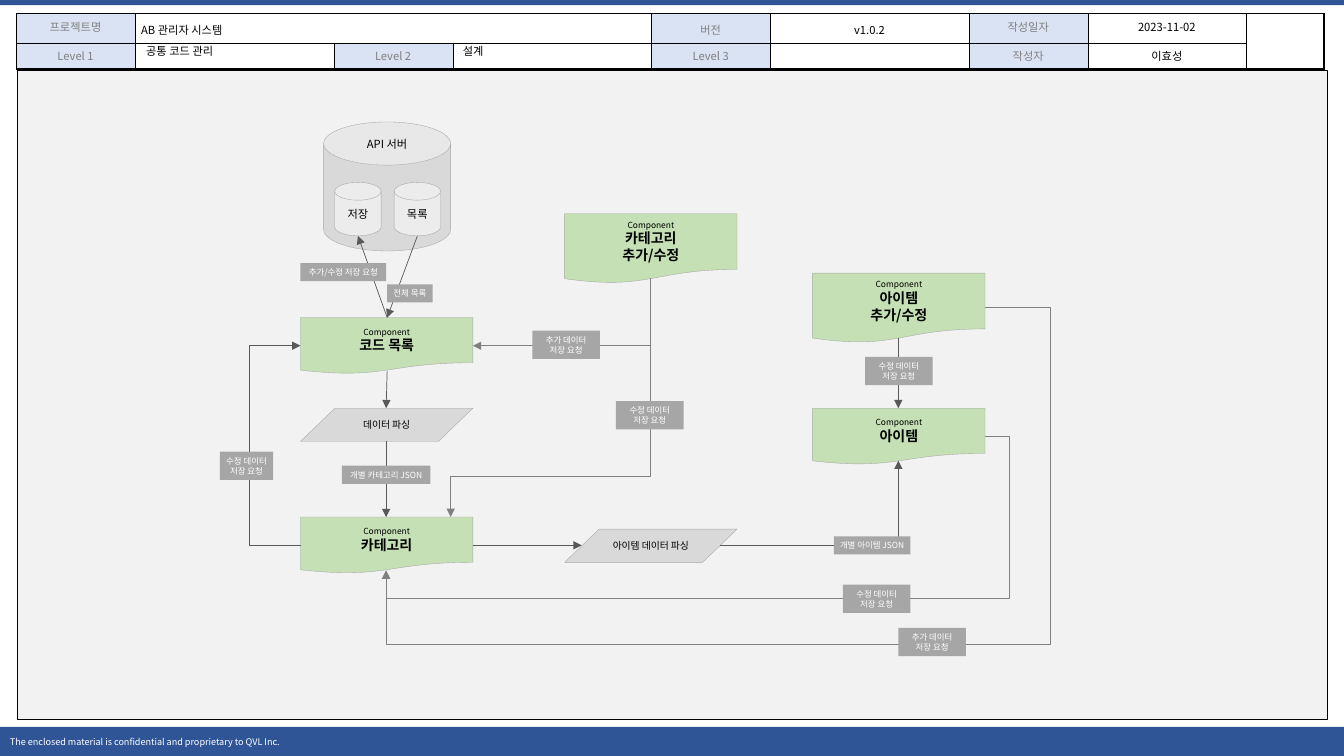
from dataclasses import dataclass

from lxml.etree import SubElement
from pptx import Presentation
from pptx.dml.color import RGBColor
from pptx.enum.shapes import MSO_CONNECTOR as Link, MSO_SHAPE as Preset
from pptx.enum.text import MSO_ANCHOR as Anchor, MSO_AUTO_SIZE as AutoSize, PP_ALIGN as Align
from pptx.oxml.ns import qn
from pptx.util import Inches, Pt

FONT = "Noto Sans CJK KR"
BLACK = RGBColor(0x00, 0x00, 0x00)
WHITE = RGBColor(0xFF, 0xFF, 0xFF)
NAVY = RGBColor(0x2F, 0x55, 0x97)
PALE_BLUE = RGBColor(0xDA, 0xE3, 0xF3)
GREEN = RGBColor(0xC5, 0xE0, 0xB4)
CANVAS = RGBColor(0xF2, 0xF2, 0xF2)
SILVER = RGBColor(0xD9, 0xD9, 0xD9)
ASH = RGBColor(0xA6, 0xA6, 0xA6)
GRAY = RGBColor(0x80, 0x80, 0x80)
CHARCOAL = RGBColor(0x59, 0x59, 0x59)

NODE_WIDTH = 1.71
COLUMNS = [1.18, 1.97, 1.18, 1.97, 1.18, 1.97, 1.18, 1.57, 0.77]
ROWS = [0.26, 0.23]


@dataclass
class Node:
    left: float
    top: float
    height: float
    text: str
    component: bool = True


@dataclass
class Label:
    left: float
    top: float
    width: float
    text: str
    wrap: bool = False


@dataclass
class Route:
    start: tuple[float, float]
    end: tuple[float, float]
    color: RGBColor = CHARCOAL
    preset: str = "line"
    bends: tuple[float, ...] = ()
    vertical_first: bool = False


@dataclass
class HeaderCell:
    row: int
    column: int
    text: str
    heading: bool = True
    spacing: float = 1.0


NODES = [
    Node(2.98, 3.15, 0.56, "코드 목록"),
    Node(2.98, 4.05, 0.33, "데이터 파싱", False),
    Node(2.98, 5.13, 0.56, "카테고리"),
    Node(5.6, 5.25, 0.33, "아이템 데이터 파싱", False),
    Node(5.6, 2.12, 0.69, "카테고리\n추가/수정"),
    Node(8.06, 2.71, 0.69, "아이템\n추가/수정"),
    Node(8.06, 4.05, 0.56, "아이템"),
]
ROUTES = [
    Route((2.99, 5.41), (2.98, 3.43), preset="bentConnector3", bends=(52,)),
    Route((3.84, 3.15), (3.55, 2.34)),
    Route((4.14, 2.34), (3.84, 3.15)),
    Route((3.84, 3.68), (3.83, 4.05)),
    Route((3.83, 4.38), (3.83, 5.13)),
    Route((4.69, 5.41), (5.77, 5.41)),
    Route((7.14, 5.41), (8.91, 4.57), preset="bentConnector2"),
    Route((8.91, 3.35), (8.91, 4.05)),
    Route((6.45, 2.76), (4.69, 3.43), GRAY, "bentConnector2", vertical_first=True),
    Route((9.77, 4.33), (3.83, 5.66), GRAY, "bentConnector4", (-0.04, 1.21)),
    Route((6.45, 2.76), (4.47, 5.13), GRAY, "bentConnector3", (0.83,), True),
    Route((9.77, 3.05), (3.83, 5.66), GRAY, "bentConnector4", (-0.11, 1.28)),
]
SAVE_EDIT = "수정 데이터\n저장 요청"
SAVE_NEW = "추가 데이터\n저장 요청"
LABELS = [
    Label(2.98, 2.61, 0.85, "추가/수정 저장 요청"),
    Label(3.84, 2.82, 0.45, "전체 목록"),
    Label(3.39, 4.62, 0.88, "개별 카테고리 JSON"),
    Label(2.18, 4.48, 0.53, SAVE_EDIT),
    Label(8.27, 5.32, 0.76, "개별 아이템 JSON"),
    Label(8.58, 3.54, 0.67, SAVE_EDIT, True),
    Label(5.28, 3.28, 0.67, SAVE_NEW, True),
    Label(8.36, 5.8, 0.67, SAVE_EDIT, True),
    Label(6.11, 3.98, 0.67, SAVE_EDIT, True),
    Label(8.91, 6.23, 0.67, SAVE_NEW, True),
]
HEADER = [
    HeaderCell(0, 0, "프로젝트명"),
    HeaderCell(0, 1, "AB 관리자 시스템", False, 1.2),
    HeaderCell(0, 4, "버전", True, 1.2),
    HeaderCell(0, 5, "v1.0.2", False, 1.2),
    HeaderCell(0, 6, "작성일자"),
    HeaderCell(0, 7, "2023-11-02", False),
    HeaderCell(1, 0, "Level 1"),
    HeaderCell(1, 2, "Level 2"),
    HeaderCell(1, 4, "Level 3"),
    HeaderCell(1, 6, "작성자"),
    HeaderCell(1, 7, "이효성", False),
]


def write(frame, text: str, *, size: float = 8, color: RGBColor = BLACK, bold: bool = False,
          align=Align.CENTER, spacing: float = 1.0) -> None:
    """Append each line of text to the frame as a formatted paragraph."""
    for line in text.split("\n"):
        paragraph = frame.add_paragraph() if frame.text else frame.paragraphs[0]
        paragraph.alignment, paragraph.line_spacing = align, spacing
        run = paragraph.add_run()
        run.text = line
        run.font.size, run.font.bold, run.font.name = Pt(size), bold, FONT
        run.font.color.rgb = color
        SubElement(run._r.get_or_add_rPr(), qn("a:ea"), typeface=FONT)


def inset(frame, margin: float) -> None:
    frame.margin_left = frame.margin_right = Inches(margin)
    frame.margin_top = frame.margin_bottom = Inches(margin)


def add_block(slide, preset, box: tuple[float, ...], fill: RGBColor, outline: RGBColor | None = None):
    block = slide.shapes.add_shape(preset, *map(Inches, box))
    block.shadow.inherit = False
    block.fill.solid()
    block.fill.fore_color.rgb = fill
    if outline is None:
        block.line.fill.background()
    else:
        block.line.color.rgb, block.line.width = outline, Pt(0.25)
    inset(block.text_frame, 0)
    return block


def add_header(slide) -> None:
    table = slide.shapes.add_table(len(ROWS), len(COLUMNS), Inches(0.16), Inches(0.13),
                                   Inches(sum(COLUMNS)), Inches(sum(ROWS))).table
    table.first_row = table.horz_banding = False
    for column, width in zip(table.columns, COLUMNS):
        column.width = Inches(width)
    for row, height in zip(table.rows, ROWS):
        row.height = Inches(height)
    table.cell(0, 1).merge(table.cell(0, 3))
    table.cell(0, 8).merge(table.cell(1, 8))
    for index, cell in enumerate(table.iter_cells()):
        row, column = divmod(index, len(COLUMNS))
        inset(cell, 0.05)
        cell.margin_left = cell.margin_right = Inches(0.06)
        thick = {"R": column == len(COLUMNS) - 1, "B": row == 1 or column == 8}
        for side in "LRTB":
            border = SubElement(cell._tc.get_or_add_tcPr(), qn(f"a:ln{side}"),
                                w=str(Pt(1.5 if thick.get(side) else 0.25)))
            SubElement(SubElement(border, qn("a:solidFill")), qn("a:srgbClr"), val=str(BLACK))
        cell.fill.background()
        SubElement(cell.text_frame.paragraphs[0]._p, qn("a:endParaRPr"), sz="800")
    for item in HEADER:
        cell = table.cell(item.row, item.column)
        write(cell.text_frame, item.text, color=GRAY if item.heading else BLACK,
              align=Align.LEFT if item.column == 1 else Align.CENTER, spacing=item.spacing)
        if item.heading:
            cell.fill.solid()
            cell.fill.fore_color.rgb = PALE_BLUE


def add_levels(slide) -> None:
    """Place the level names in the layout's body placeholders and drop the others."""
    levels = {1: (1.35, "공통 코드 관리"), 3: (4.49, "설계")}
    for holder in list(slide.placeholders):
        tree = holder.element.getparent()
        if holder.placeholder_format.idx not in levels:
            tree.remove(holder.element)
            continue
        left, name = levels[holder.placeholder_format.idx]
        holder.left, holder.top, holder.width, holder.height = map(Inches, (left, 0.39, 1.97, 0.24))
        holder.text_frame.vertical_anchor = Anchor.MIDDLE
        holder.text_frame.auto_size = AutoSize.NONE
        write(holder.text_frame, name, align=Align.LEFT, spacing=0.9)
        tree.append(holder.element)


def add_server(slide) -> None:
    add_block(slide, Preset.CAN, (3.21, 1.21, 1.26, 1.28), SILVER, ASH).adjustments[0] = 0.34
    title = slide.shapes.add_textbox(*map(Inches, (3.21, 1.3, 1.26, 0.26))).text_frame
    title.word_wrap, title.vertical_anchor = True, Anchor.MIDDLE
    inset(title, 0)
    write(title, "API 서버")
    for left, name in ((3.91, "목록"), (3.32, "저장")):
        store = add_block(slide, Preset.FLOWCHART_MAGNETIC_DISK, (left, 1.81, 0.46, 0.53), WHITE, ASH)
        tint = store.element.spPr.find(qn("a:solidFill")).find(qn("a:srgbClr"))
        SubElement(tint, qn("a:alpha"), val="50000")
        write(store.text_frame, name)


def add_node(slide, node: Node) -> None:
    preset = Preset.FLOWCHART_DOCUMENT if node.component else Preset.FLOWCHART_DATA
    block = add_block(slide, preset, (node.left, node.top, NODE_WIDTH, node.height),
                      GREEN if node.component else SILVER, ASH)
    if node.component:
        write(block.text_frame, "Component", size=6)
    write(block.text_frame, node.text, size=10 if node.component else 7, bold=node.component)


def add_route(slide, route: Route) -> None:
    (x1, y1), (x2, y2) = route.start, route.end
    if route.vertical_first:  # a quarter turn swaps width and height around the centre
        cx, cy, across, down = (x1 + x2) / 2, (y1 + y2) / 2, (x1 - x2) / 2, (y2 - y1) / 2
        x1, y1, x2, y2 = cx - down, cy - across, cx + down, cy + across
    kind = Link.STRAIGHT if route.preset == "line" else Link.ELBOW
    arrow = slide.shapes.add_connector(kind, *map(Inches, (x1, y1, x2, y2)))
    arrow.line.color.rgb, arrow.line.width = route.color, Pt(0.5)
    properties = arrow.element.spPr
    if route.vertical_first:
        properties.find(qn("a:xfrm")).set("rot", "5400000")
    geometry = properties.find(qn("a:prstGeom"))
    geometry.set("prst", route.preset)
    for number, bend in enumerate(route.bends, 1):
        SubElement(geometry.find(qn("a:avLst")), qn("a:gd"), name=f"adj{number}",
                   fmla=f"val {round(bend * 100000)}")
    SubElement(properties.find(qn("a:ln")), qn("a:tailEnd"), type="triangle")
    SubElement(properties, qn("a:effectLst"))


def add_label(slide, label: Label) -> None:
    height = 0.28 if "\n" in label.text else 0.18
    frame = add_block(slide, Preset.RECTANGLE, (label.left, label.top, label.width, height), ASH).text_frame
    inset(frame, 0.04)
    frame.word_wrap, frame.vertical_anchor = label.wrap, Anchor.TOP
    frame.auto_size = AutoSize.SHAPE_TO_FIT_TEXT
    write(frame, label.text, size=6, color=WHITE)


def main() -> None:
    deck = Presentation()
    deck.slide_width, deck.slide_height = Inches(13.33), Inches(7.5)
    slide = deck.slides.add_slide(deck.slide_layouts.get_by_name("Comparison"))
    add_block(slide, Preset.RECTANGLE, (0, 0, 13.33, 0.05), NAVY)
    footer = add_block(slide, Preset.RECTANGLE, (0, 7.21, 13.33, 0.29), NAVY).text_frame
    footer.margin_left = Inches(0.1)
    write(footer, "The enclosed material is confidential and proprietary to QVL Inc.",
          size=6.5, color=WHITE, align=Align.LEFT)
    add_header(slide)
    add_block(slide, Preset.RECTANGLE, (0.17, 0.7, 12.99, 6.44), CANVAS, BLACK)
    add_levels(slide)
    add_server(slide)
    for draw, items in ((add_node, NODES), (add_route, ROUTES), (add_label, LABELS)):
        for item in items:
            draw(slide, item)
    deck.save("out.pptx")


if __name__ == "__main__":
    main()
